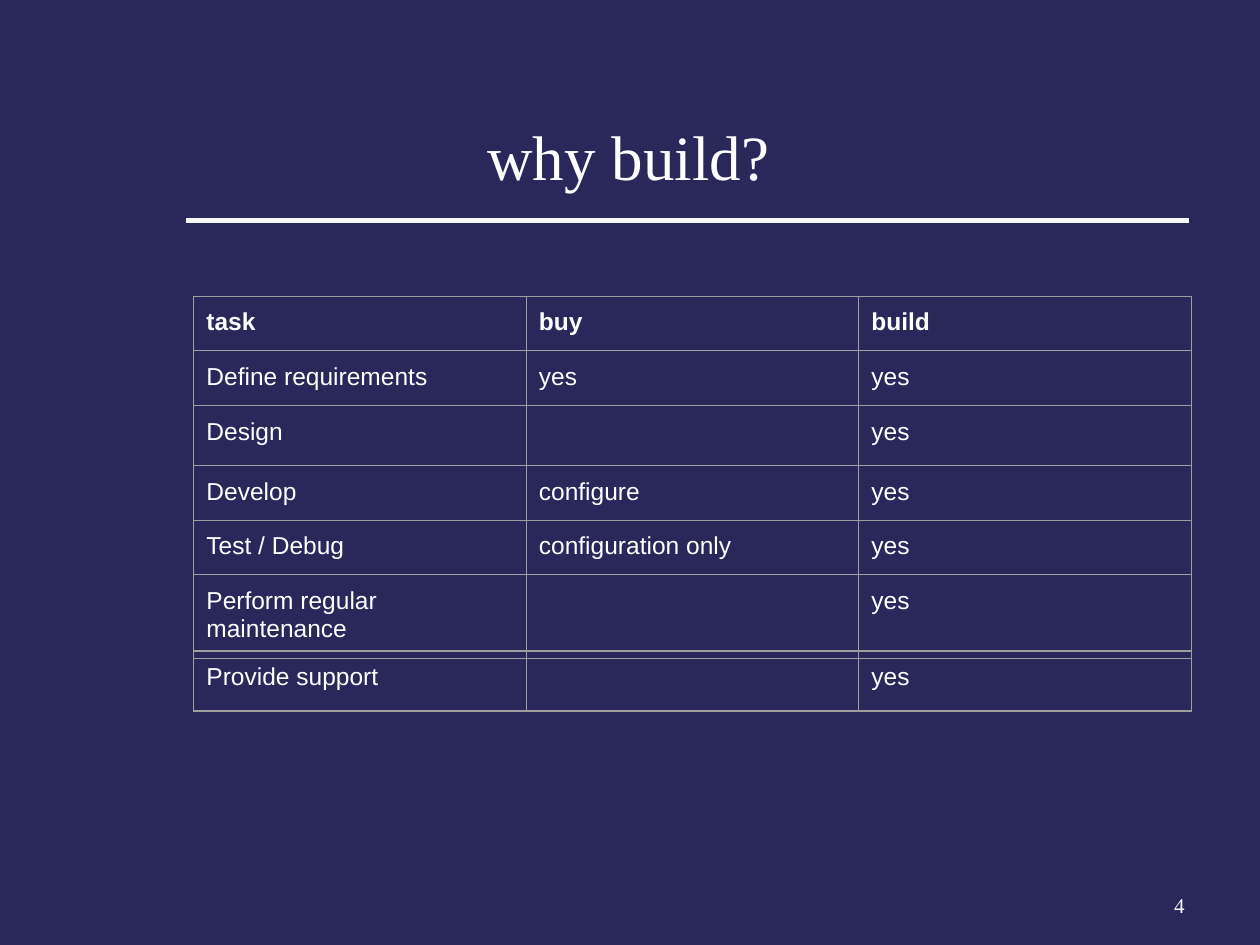
from lxml import etree
from pptx import Presentation
from pptx.dml.color import RGBColor
from pptx.enum.shapes import MSO_CONNECTOR
from pptx.enum.text import MSO_ANCHOR, PP_ALIGN
from pptx.oxml.ns import qn
from pptx.util import Pt

STRAIGHT = MSO_CONNECTOR.STRAIGHT
BOTTOM = MSO_ANCHOR.BOTTOM
CENTER, RIGHT = PP_ALIGN.CENTER, PP_ALIGN.RIGHT

BACKGROUND, WHITE, OFF_WHITE, GRID = "2A285A", "FFFFFF", "F8F8F8", "9E9E9E"
TABLE_LEFT, COLUMN_WIDTH = 110.75, 190
CELL_INSET = 7.2

TASK_ROWS = [
    (30.8, ["task", "buy", "build"]),
    (30.8, ["Define requirements", "yes", "yes"]),
    (34.3, ["Design", "", "yes"]),
    (30.8, ["Develop", "configure", "yes"]),
    (30.8, ["Test / Debug", "configuration only", "yes"]),
    (45.4, ["Perform regular maintenance", "", "yes"]),
]
SUPPORT_ROWS = [(34.3, ["Provide support", "", "yes"])]


def color(hex_string):
    """Return the colour for a hex string."""
    return RGBColor.from_string(hex_string)


def set_attributes(target, values):
    """Set each attribute named in a dict of format values."""
    for name, value in values.items():
        setattr(target, name, value)


def write_run(paragraph, text, font_color, **font_values):
    """Add one formatted run to a paragraph."""
    run = paragraph.add_run()
    run.text = text
    run.font.color.rgb = color(font_color)
    set_attributes(run.font, font_values)


def add_text(slide, box, text, size, font_color, alignment):
    """Add a bottom-anchored serif text box."""
    frame = slide.shapes.add_textbox(*map(Pt, box)).text_frame
    set_attributes(frame, {"word_wrap": True, "vertical_anchor": BOTTOM})
    paragraph = frame.paragraphs[0]
    paragraph.alignment = alignment
    write_run(paragraph, text, font_color, name="Times New Roman", size=Pt(size))


def add_rule(slide, left, right, top, width, line_color):
    """Add a horizontal square-capped rule without a shadow."""
    rule = slide.shapes.add_connector(STRAIGHT, Pt(left), Pt(top), Pt(right), Pt(top))
    rule.line.width = Pt(width)
    rule.line.color.rgb = color(line_color)
    properties = rule._element.spPr
    properties.find(qn("a:ln")).set("cap", "sq")
    etree.SubElement(properties, qn("a:effectLst"))


def add_borders(cell, line_color, width):
    """Draw the four borders of a table cell."""
    properties = cell._tc.get_or_add_tcPr()
    for position, side in enumerate(("a:lnL", "a:lnR", "a:lnT", "a:lnB")):
        border = etree.Element(qn(side), w=str(Pt(width)))
        fill = etree.SubElement(border, qn("a:solidFill"))
        etree.SubElement(fill, qn("a:srgbClr"), val=line_color)
        properties.insert(position, border)


def format_cell(cell, text, bold):
    """Format one table cell, leaving an empty one without text."""
    cell.fill.background()
    add_borders(cell, GRID, 0.75)
    vertical_inset = Pt(CELL_INSET if text else 0)
    set_attributes(cell, {
        "margin_left": Pt(CELL_INSET), "margin_right": Pt(CELL_INSET),
        "margin_top": vertical_inset, "margin_bottom": vertical_inset,
    })
    if text:
        write_run(cell.text_frame.paragraphs[0], text, WHITE,
                  name="Arial", size=Pt(14), bold=bold)


def add_grid(slide, top, rows, has_header):
    """Add a bordered table from rows of height and cell texts."""
    column_count = len(rows[0][1])
    height = sum(row_height for row_height, _ in rows)
    table = slide.shapes.add_table(
        len(rows), column_count, Pt(TABLE_LEFT), Pt(top),
        Pt(COLUMN_WIDTH * column_count), Pt(height)).table
    set_attributes(table, {"first_row": has_header, "horz_banding": False})
    for row_index, (row_height, texts) in enumerate(rows):
        table.rows[row_index].height = Pt(row_height)
        for column_index, text in enumerate(texts):
            format_cell(table.cell(row_index, column_index), text,
                        has_header and row_index == 0)


def main():
    """Build the slide and save it."""
    presentation = Presentation()
    set_attributes(presentation, {"slide_width": Pt(720), "slide_height": Pt(540)})
    slide = presentation.slides.add_slide(presentation.slide_layouts[6])
    slide.background.fill.solid()
    slide.background.fill.fore_color.rgb = color(BACKGROUND)
    add_rule(slide, 108, 678, 126, 3, OFF_WHITE)
    add_text(slide, (108, 24, 502, 90), "why build?", 36, WHITE, CENTER)
    add_text(slide, (516, 492, 168, 36), "4", 12, OFF_WHITE, RIGHT)
    add_grid(slide, 169.2, TASK_ROWS, True)
    add_grid(slide, 372, SUPPORT_ROWS, False)
    presentation.save("out.pptx")


if __name__ == "__main__":
    main()
